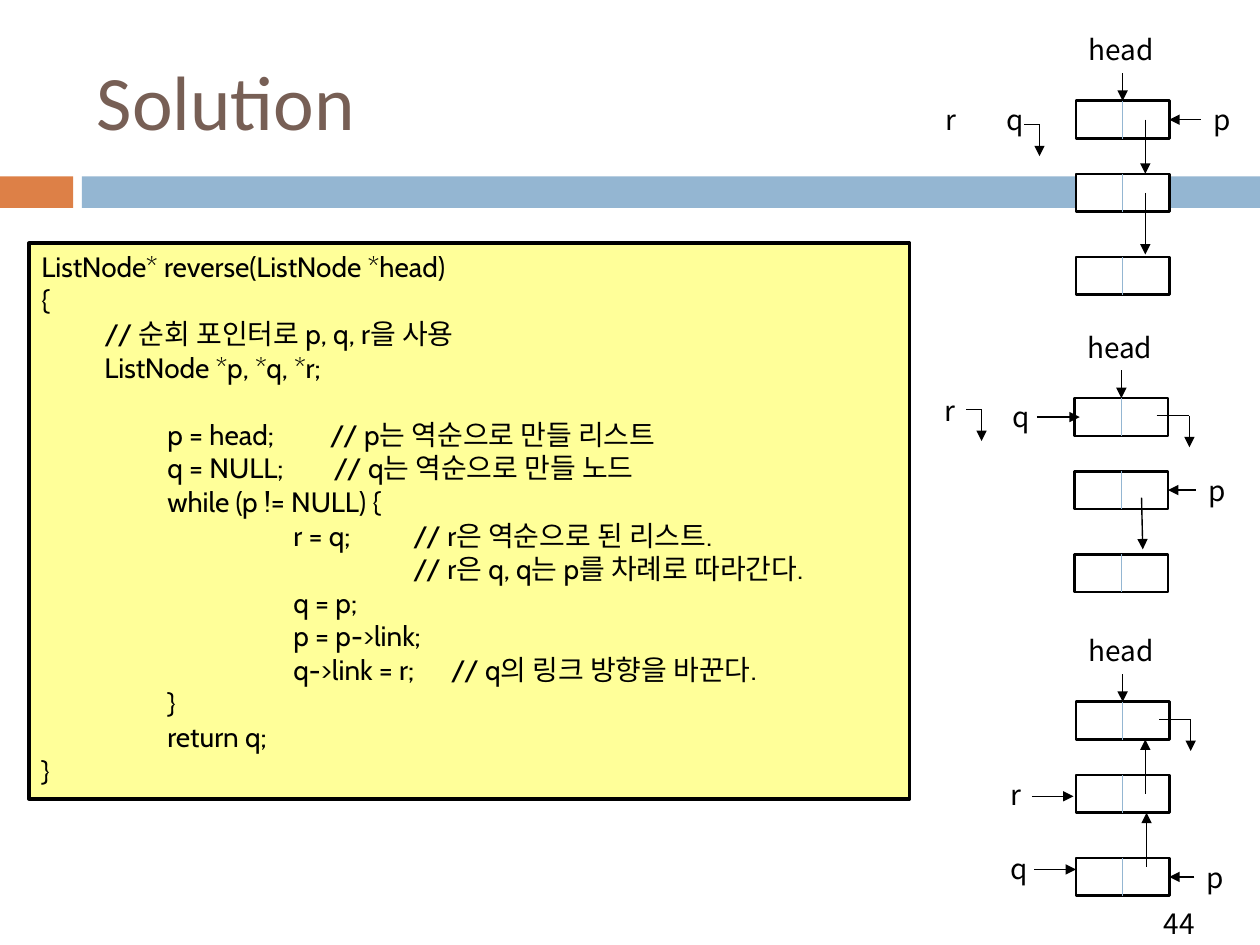
import pptx
import pptx.util
import pptx.dml.color
import pptx.enum.shapes
import pptx.enum.text
import pptx.oxml.ns
import lxml.etree

COLORS = {
    "orange": "DD8047",
    "blue": "94B6D2",
    "brown": "775F55",
    "yellow": "FFFF99",
    "black": "000000",
    "white": "FFFFFF",
}
WIDTH, HEIGHT = pptx.util.Inches(10), pptx.util.Inches(7.5)
COLUMN, ROW = WIDTH / 100, HEIGHT / 75
NODE_WIDTH, NODE_HEIGHT = 7.4, 3
NODE_ROWS = (0, 5.8, 12.4)
LABEL_HEIGHT = 3.7
HEAD_GAP = 2.2
LINK_COLUMN = 5.5
HOOK_DROP = 2.5
THIN = 0.8
LABEL_FONT = "Noto Sans CJK KR"
CODE = [
    ("ListNode* reverse(ListNode *head)", ()),
    ("{", ()),
    ("\t// 순회 포인터로 p, q, r을 사용", ()),
    ("\tListNode *p, *q, *r;", ()),
    ("\tp = head;\t// p는 역순으로 만들 리스트", (1, 2.29)),
    ("\tq = NULL;\t// q는 역순으로 만들 노드", (1, 2.32)),
    ("\twhile (p != NULL) {", ()),
    ("\t\tr = q;\t// r은 역순으로 된 리스트.", (1, 2, 2.95)),
    ("\t\t\t// r은 q, q는 p를 차례로 따라간다.", ()),
    ("\t\tq = p;", ()),
    ("\t\tp = p->link;", ()),
    ("\t\tq->link = r;\t// q의 링크 방향을 바꾼다.", (1, 2, 3.25)),
    ("\t}", ()),
    ("\treturn q;", ()),
    ("}", ()),
]
SECTION_START = 4


def rgb(color):
    return pptx.dml.color.RGBColor.from_string(COLORS[color])


def place(column, row):
    return round(column * COLUMN), round(row * ROW)


def add_child(parent, tag, **attributes):
    return lxml.etree.SubElement(parent, pptx.oxml.ns.qn(tag), attributes)


def add_box(slide, column, row, width, height, fill=None, line_width=None):
    box = slide.shapes.add_shape(
        pptx.enum.shapes.MSO_SHAPE.RECTANGLE, *place(column, row), *place(width, height)
    )
    box.shadow.inherit = False
    if fill:
        box.fill.solid()
        box.fill.fore_color.rgb = rgb(fill)
    else:
        box.fill.background()
    if line_width:
        box.line.color.rgb = rgb("black")
        box.line.width = pptx.util.Pt(line_width)
    else:
        box.line.fill.background()
    return box


def style(paragraph, font_name, size, color):
    paragraph.font.name = font_name
    paragraph.font.size = pptx.util.Pt(size)
    paragraph.font.color.rgb = rgb(color)
    add_child(paragraph.font._element, "a:ea", typeface=LABEL_FONT)


def add_label(slide, text, column, row, width=3, height=LABEL_HEIGHT,
              font_name=LABEL_FONT, size=16, color="black", align="LEFT"):
    label = slide.shapes.add_textbox(*place(column, row), *place(width, height))
    label.text_frame.word_wrap = True
    label.text_frame.vertical_anchor = pptx.enum.text.MSO_ANCHOR.MIDDLE
    paragraph = label.text_frame.paragraphs[0]
    paragraph.text = text
    paragraph.alignment = getattr(pptx.enum.text.PP_ALIGN, align)
    style(paragraph, font_name, size, color)


def add_line(slide, start, end, color="black", arrow=True):
    line = slide.shapes.add_connector(
        pptx.enum.shapes.MSO_CONNECTOR.STRAIGHT, *place(*start), *place(*end)
    )
    line.line.color.rgb = rgb(color)
    line.line.width = pptx.util.Pt(THIN)
    if arrow:
        add_child(line.line._get_or_add_ln(), "a:tailEnd", type="triangle")
    add_child(line._element.spPr, "a:effectLst")
    return line


def add_hook(slide, column, row, width):
    corner = (column + width, row)
    add_line(slide, (column, row), corner, arrow=False)
    add_line(slide, corner, (column + width, row + HOOK_DROP))


def add_list(slide, left, top, p_node, p_column, fill=None):
    middle = left + NODE_WIDTH / 2
    nodes = []
    for offset in NODE_ROWS:
        row = top + offset
        node = add_box(slide, left, row, NODE_WIDTH, NODE_HEIGHT, fill, 1.5)
        divider = add_line(slide, (middle, row), (middle, row + NODE_HEIGHT), "blue", False)
        divider.begin_connect(node, 0)
        divider.end_connect(node, 2)
        nodes.append(node)

    add_label(slide, "head", left, top - HEAD_GAP - LABEL_HEIGHT, NODE_WIDTH)
    head_arrow = add_line(slide, (middle, top - HEAD_GAP), (middle, top))
    head_arrow.end_connect(nodes[0], 0)

    p_row = top + NODE_ROWS[p_node] + NODE_HEIGHT / 2
    add_label(slide, "p", p_column, p_row - LABEL_HEIGHT / 2)
    p_arrow = add_line(slide, (p_column, p_row), (left + NODE_WIDTH, p_row))
    p_arrow.end_connect(nodes[p_node], 3)


def add_code(slide):
    frame = add_box(slide, 2.3, 19.3, 69.9, 44.1, "yellow", 2).text_frame
    frame.word_wrap = True
    frame.vertical_anchor = pptx.enum.text.MSO_ANCHOR.TOP
    for index, (text, stops) in enumerate(CODE):
        paragraph = frame.add_paragraph() if index else frame.paragraphs[0]
        paragraph.text = text
        paragraph.alignment = pptx.enum.text.PP_ALIGN.JUSTIFY
        if index == SECTION_START:
            paragraph.space_before = pptx.util.Pt(19.2)
        if stops:
            tabs = add_child(paragraph._p.get_or_add_pPr(), "a:tabLst")
            for stop in stops:
                add_child(tabs, "a:tab", pos=str(pptx.util.Inches(stop)), algn="l")
        style(paragraph, "Cabin", 16, "black")


def add_first_state(slide):
    left, top = 85.4, 8
    add_list(slide, left, top, 0, 95.3, "white")
    link = left + LINK_COLUMN
    add_line(slide, (link, 9.5), (link, 13.8))
    add_line(slide, (link, 15.3), (link, 20.2))
    add_label(slide, "q", 78.9, 7.6)
    add_label(slide, "r", 74.1, 7.6)
    add_hook(slide, 81.3, 9.9, 1.2)


def add_second_state(slide):
    add_list(slide, 85.3, 31.6, 1, 94.9)
    add_line(slide, (90.6, 39.5), (90.7, 43.6))
    add_label(slide, "q", 79.4, 31.2)
    add_line(slide, (82.3, 33.1), (85.7, 33.1))
    add_label(slide, "r", 74, 30.7)
    add_hook(slide, 76.7, 32.5, 1.2)
    add_hook(slide, 91.8, 33, 2.6)


def add_third_state(slide):
    left, top = 85.4, 55.7
    add_list(slide, left, top, 2, 94.8)
    link = left + LINK_COLUMN
    add_line(slide, (link, 63), (link, 58.7))
    add_line(slide, (link + 0.1, 68.8), (link + 0.1, 64.5))
    add_label(slide, "q", 79.2, 67.1)
    add_line(slide, (82.1, 69), (left, 69))
    add_label(slide, "r", 79.2, 61.2)
    add_line(slide, (81.9, 63.2), (85.2, 63.2))
    add_hook(slide, 92, 57.1, 2.5)


def main():
    presentation = pptx.Presentation()
    presentation.slide_width, presentation.slide_height = WIDTH, HEIGHT
    slide = presentation.slides.add_slide(presentation.slide_layouts[6])
    add_box(slide, 0, 14, 5.8, 2.5, "orange")
    add_box(slide, 6.5, 14, 93.5, 2.5, "blue")
    add_label(slide, "44", 87.4, 71.4, 8.4, align="RIGHT")
    add_label(slide, "Solution", 6.7, 2.5, 89.2, 10.8, "Calibri", 44, "brown")
    add_code(slide)
    add_first_state(slide)
    add_second_state(slide)
    add_third_state(slide)
    presentation.save("out.pptx")


if __name__ == "__main__":
    main()
